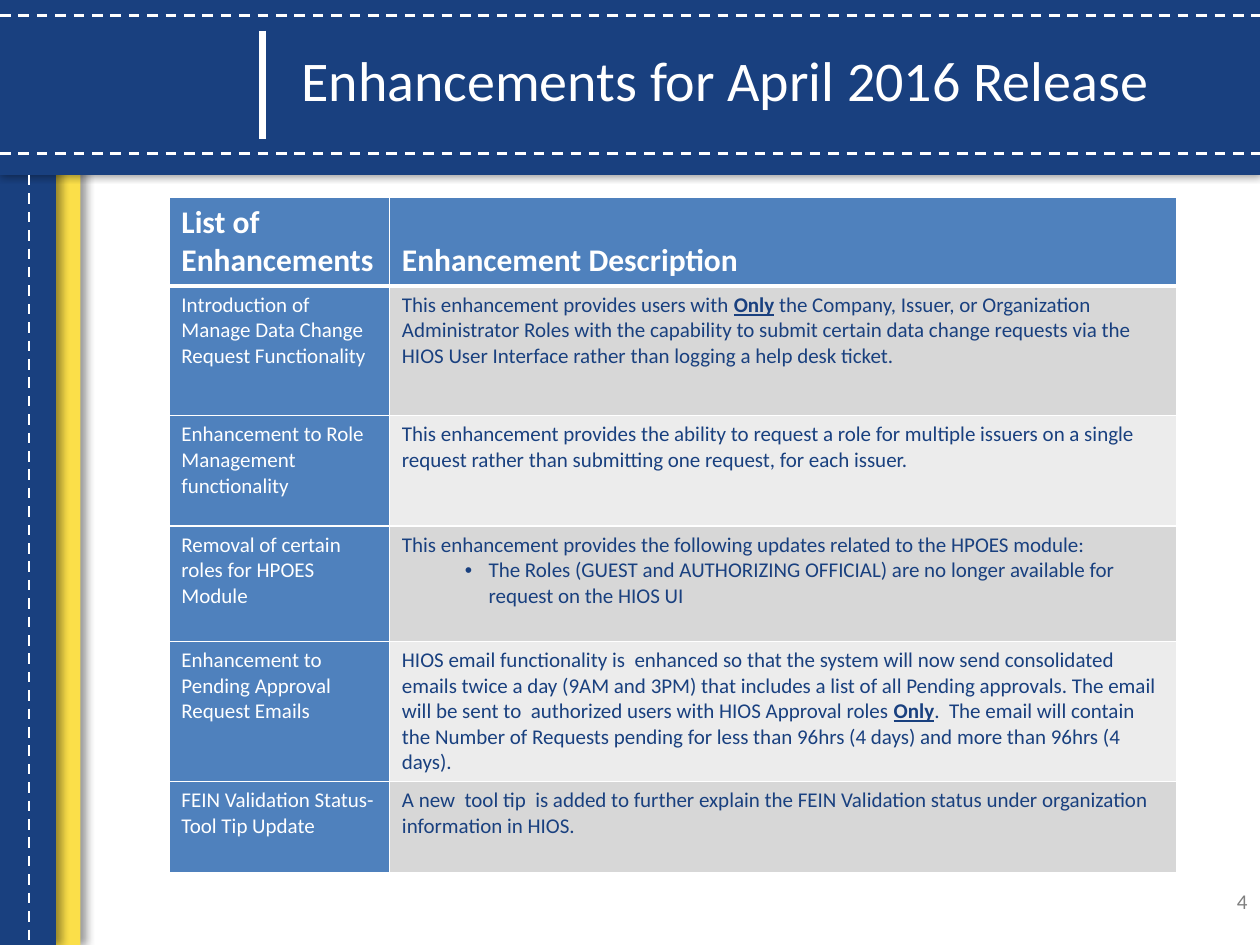
from lxml import etree
from pptx import Presentation
from pptx import util as u
from pptx.dml.color import RGBColor
from pptx.enum import dml, shapes, text
from pptx.oxml import ns

Pt = u.Pt
FONT = "Calibri"
COLORS = {
    "navy": "19407F", "yellow": "FBDF49", "white": "FFFFFF", "blue": "4F81BD",
    "dark_row": "D7D7D7", "light_row": "ECECEC", "gray": "808080", "black": "000000",
}
TITLE = "Enhancements for April 2016 Release"
PAGE_NUMBER = "4"
HEADINGS = ["List of Enhancements", "Enhancement Description"]
EMPHASIS = "Only"
ENHANCEMENTS = [
    ("Introduction of Manage Data Change Request Functionality",
     ["This enhancement provides users with ", EMPHASIS,
      " the Company, Issuer, or Organization Administrator Roles with the capability to submit "
      "certain data change requests via the HIOS User Interface rather than logging a help desk ticket."],
     None),
    ("Enhancement to Role Management functionality",
     ["This enhancement provides the ability to request a role for multiple issuers on a single "
      "request rather than submitting one request, for each issuer."],
     None),
    ("Removal of certain roles for HPOES Module",
     ["This enhancement provides the following updates related to the HPOES module:"],
     "The Roles (GUEST and AUTHORIZING OFFICIAL) are no longer available for request on the HIOS UI"),
    ("Enhancement to Pending Approval Request Emails",
     ["HIOS email functionality is  enhanced so that the system will now send consolidated emails "
      "twice a day (9AM and 3PM) that includes a list of all Pending approvals. The email will be "
      "sent to  authorized users with HIOS Approval roles ", EMPHASIS,
      ".  The email will contain the Number of Requests pending for less than 96hrs (4 days) and "
      "more than 96hrs (4 days)."],
     None),
    ("FEIN Validation Status- Tool Tip Update",
     ["A new  tool tip  is added to further explain the FEIN Validation status under organization "
      "information in HIOS."],
     None),
]
BANDS = [
    ((0, 0, 46, 540), "yellow", 3),
    ((0, 0, 32, 540), "navy", 3),
    ((0, 0, 720, 100), "navy", 0),
]
STITCHES = [(16.5, 100, 16.5, 540), (0, 8.75, 720, 8.75), (0, 87.75, 720, 87.75)]
TITLE_RULE = (150, 17.5, 150, 79.25)
COLUMN_WIDTHS = [126, 450]
ROW_HEIGHTS = [51, 74, 63, 66, 80, 52]


def rgb(name):
    return RGBColor.from_string(COLORS[name])


def sub(parent, tag, **attributes):
    return etree.SubElement(parent, ns.qn(tag), attributes)


def add_color(parent, name):
    return sub(parent, "a:srgbClr", val=COLORS[name])


def add_band(slide, box, color, distance):
    band = slide.shapes.add_shape(shapes.MSO_SHAPE.RECTANGLE, *map(Pt, box))
    band.shadow.inherit = False
    band.fill.solid()
    band.fill.fore_color.rgb = rgb(color)
    band.line.fill.background()
    effects = band._element.spPr.find(ns.qn("a:effectLst"))
    shadow = sub(effects, "a:outerShdw", blurRad=str(Pt(5)), dist=str(Pt(distance)),
                 dir="0", rotWithShape="0")
    sub(add_color(shadow, "black"), "a:alpha", val="40000")


def add_line(slide, ends, width, dashed=False):
    line = slide.shapes.add_connector(shapes.MSO_CONNECTOR.STRAIGHT, *map(Pt, ends))
    line.line.color.rgb = rgb("white")
    line.line.width = Pt(width)
    if dashed:
        line.line.dash_style = dml.MSO_LINE.DASH
    sub(line._element.spPr, "a:effectLst")


def add_run(paragraph, words, size, color, bold=False, underline=False):
    run = paragraph.add_run()
    run.text = words
    font = run.font
    font.name, font.size, font.bold, font.underline = FONT, Pt(size), bold, underline
    font.color.rgb = rgb(color)


def add_label(slide, box, words, size, color, alignment):
    frame = slide.shapes.add_textbox(*map(Pt, box)).text_frame
    frame.word_wrap = True
    frame.vertical_anchor = text.MSO_ANCHOR.MIDDLE
    frame.paragraphs[0].alignment = alignment
    add_run(frame.paragraphs[0], words, size, color)


def style_cell(cell, color, bottom=1):
    properties = cell._tc.get_or_add_tcPr()
    for side, width in (("L", 1), ("R", 1), ("T", 1), ("B", bottom)):
        border = sub(properties, f"a:ln{side}", w=str(Pt(width)))
        add_color(sub(border, "a:solidFill"), "white")
    cell.fill.solid()
    cell.fill.fore_color.rgb = rgb(color)


def add_bullet(frame, words):
    paragraph = frame.add_paragraph()
    properties = paragraph._p.get_or_add_pPr()
    properties.set("marL", str(Pt(49.5)))
    properties.set("indent", str(Pt(-13.5)))
    sub(properties, "a:buFont", typeface="Arial")
    sub(properties, "a:buChar", char="•")
    add_run(paragraph, words, 12, "navy")


def add_enhancements(slide):
    table = slide.shapes.add_table(
        len(ROW_HEIGHTS), len(COLUMN_WIDTHS), Pt(96.5), Pt(112.5),
        Pt(sum(COLUMN_WIDTHS)), Pt(sum(ROW_HEIGHTS))).table
    for column, width in zip(table.columns, COLUMN_WIDTHS):
        column.width = Pt(width)
    for row, height in zip(table.rows, ROW_HEIGHTS):
        row.height = Pt(height)
    for index, heading in enumerate(HEADINGS):
        cell = table.cell(0, index)
        style_cell(cell, "blue", bottom=3)
        add_run(cell.text_frame.paragraphs[0], heading, 18, "white", bold=True)
    table.cell(0, 1).vertical_anchor = text.MSO_ANCHOR.BOTTOM
    for index, (name, description, bullet) in enumerate(ENHANCEMENTS, 1):
        name_cell, description_cell = table.cell(index, 0), table.cell(index, 1)
        style_cell(name_cell, "blue", bottom=1)
        style_cell(description_cell, "dark_row" if index % 2 else "light_row")
        add_run(name_cell.text_frame.paragraphs[0], name, 12, "white")
        for words in description:
            strong = words == EMPHASIS
            add_run(description_cell.text_frame.paragraphs[0], words, 12, "navy", strong, strong)
        if bullet:
            add_bullet(description_cell.text_frame, bullet)


def main():
    deck = Presentation()
    deck.slide_width, deck.slide_height = Pt(720), Pt(540)
    slide = deck.slides.add_slide(deck.slide_layouts[6])
    for band in BANDS:
        add_band(slide, *band)
    for stitch in STITCHES:
        add_line(slide, stitch, 1.5, dashed=True)
    add_line(slide, TITLE_RULE, 4.5)
    add_label(slide, (552, 500.5, 168, 29), PAGE_NUMBER, 12, "gray", text.PP_ALIGN.RIGHT)
    add_label(slide, (141.5, 12.5, 546, 66), TITLE, 32, "white", text.PP_ALIGN.CENTER)
    add_enhancements(slide)
    deck.save("out.pptx")


if __name__ == "__main__":
    main()
